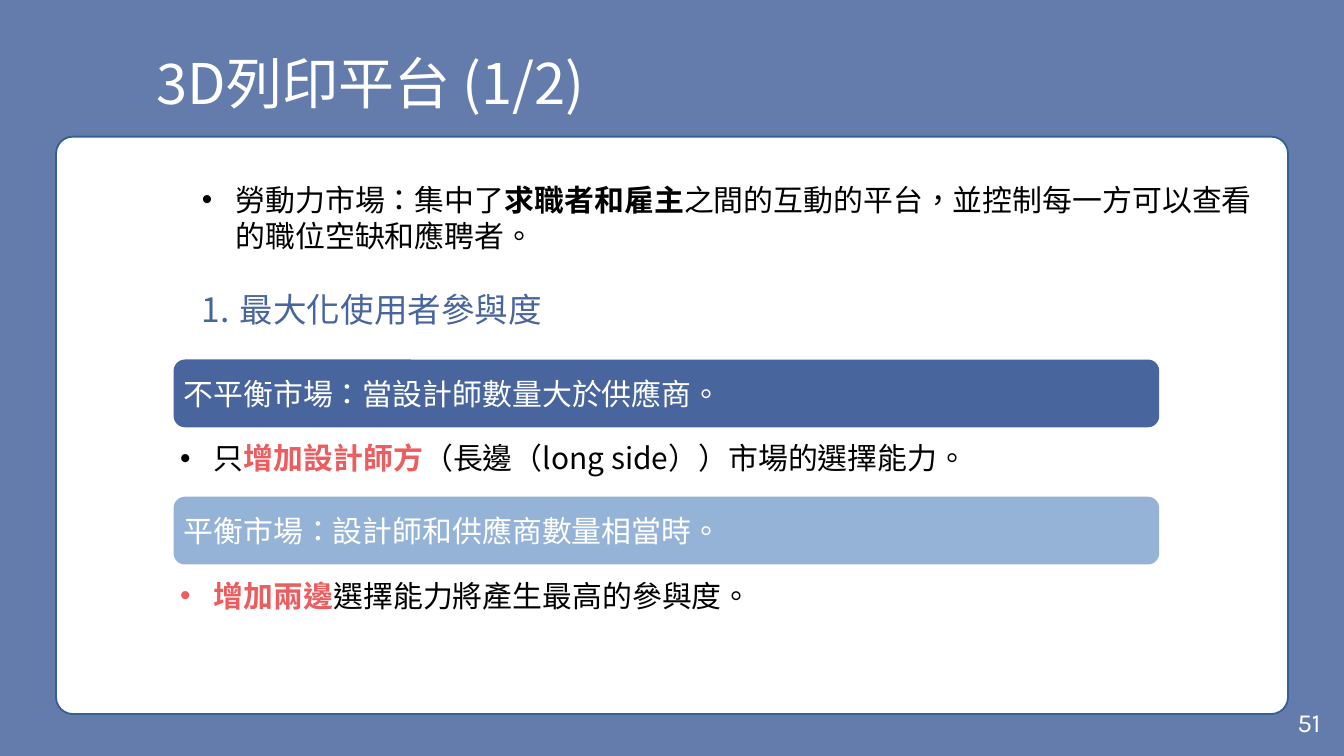
from dataclasses import dataclass

from lxml.etree import SubElement
from pptx import Presentation
from pptx.dml.color import RGBColor
from pptx.enum.lang import MSO_LANGUAGE_ID
from pptx.enum.shapes import MSO_SHAPE
from pptx.enum.text import MSO_ANCHOR, PP_ALIGN
from pptx.oxml.ns import qn
from pptx.util import Inches, Pt

# Grid: 240 columns by 135 rows, twelve to the inch
COLS, ROWS = 240, 135
NOTO, CALIBRI, KARLA = "Noto Sans CJK SC", "Calibri", "Karla"
WHITE, BLACK, NAVY, SKY, RED = "FFFFFF", "000000", "49659E", "95B3D7", "EB5D5F"
EDGE, BACK = "376092", "647CAC"


@dataclass
class Run:
    text: str
    color: str = BLACK
    font: str = NOTO
    size: int = 32
    bold: bool = False


@dataclass
class Case:
    fill: str
    head: list[Run]
    point: list[Run]


def grid(count: float) -> int:
    return Inches(count / 12)


def tint(color: str) -> RGBColor:
    return RGBColor.from_string(color)


def write(para, runs: list[Run]) -> None:
    for item in runs:
        run = para.add_run()
        run.text = item.text
        font = run.font
        font.name, font.size, font.bold = item.font, Pt(item.size), item.bold
        font.color.rgb = tint(item.color)
        font.language_id = MSO_LANGUAGE_ID.TRADITIONAL_CHINESE


def mark(para, left: float, hang: float, number: bool = False) -> None:
    """Give a paragraph a hanging dot or number; lengths in grid columns."""
    props = para._p.get_or_add_pPr()
    props.set("marL", str(grid(left)))
    props.set("indent", str(-grid(hang)))
    if number:
        SubElement(props, qn("a:buFont"), typeface="+mj-lt")
        SubElement(props, qn("a:buAutoNum"), type="arabicPeriod")
    else:
        SubElement(props, qn("a:buFont"), typeface="Arial")
        SubElement(props, qn("a:buChar"), char="•")


def label(slide, left: float, top: float, width: float, height: float,
          runs: list[Run], anchor=MSO_ANCHOR.TOP):
    box = slide.shapes.add_textbox(*map(grid, (left, top, width, height)))
    frame = box.text_frame
    frame.word_wrap = True
    frame.vertical_anchor = anchor
    write(frame.paragraphs[0], runs)
    return frame


def block(slide, left: float, top: float, width: float, height: float,
          fill: str, anchor=MSO_ANCHOR.MIDDLE):
    shape = slide.shapes.add_shape(
        MSO_SHAPE.ROUNDED_RECTANGLE, *map(grid, (left, top, width, height)))
    shape.shadow.inherit = False
    shape.fill.solid()
    shape.fill.fore_color.rgb = tint(fill)
    shape.line.fill.background()
    frame = shape.text_frame
    frame.word_wrap = True
    frame.vertical_anchor = anchor
    frame.paragraphs[0].alignment = PP_ALIGN.LEFT
    return shape


def panel(slide) -> None:
    shape = block(slide, 10, 24.4, 220, 103.1, WHITE, MSO_ANCHOR.TOP)
    shape.adjustments[0] = 0.029
    shape.line.color.rgb = tint(EDGE)
    shape.line.width = Pt(2)
    frame = shape.text_frame
    frame.margin_top = grid(7.1)
    intro, goal = frame.paragraphs[0], frame.add_paragraph()
    mark(intro, 30, 6)
    write(intro, [
        Run("勞動力市場：集中了"),
        Run("求職者和雇主", bold=True),
        Run("之間的互動的平台，並控制每一方可以查看的職位空缺和應聘者。"),
    ])
    goal.alignment = PP_ALIGN.LEFT
    goal.space_before = Pt(38)
    mark(goal, 30.75, 6.75, number=True)
    write(goal, [Run("最大化使用者參與度", NAVY, CALIBRI, 36)])


CASES = [
    Case(NAVY,
         [Run("不平衡市場：", WHITE),
          Run("當設計師數量大於供應商。", WHITE, CALIBRI)],
         [Run("只", font=CALIBRI),
          Run("增加", RED, bold=True),
          Run("設計師方", RED, CALIBRI, bold=True),
          Run("（長邊（long side））市場的選擇能力。")]),
    Case(SKY,
         [Run("平衡市場：設計師和供應商數量相當時。", WHITE)],
         [Run("增加兩邊", RED, bold=True),
          Run("選擇能力將產生最高的參與度。")]),
]


def main() -> None:
    deck = Presentation()
    deck.slide_width, deck.slide_height = grid(COLS), grid(ROWS)
    slide = deck.slides.add_slide(deck.slide_layouts[6])
    slide.background.fill.solid()
    slide.background.fill.fore_color.rgb = tint(BACK)

    # Title and page number
    title = label(slide, 28, 8.6, 186, 12.1,
                  [Run("3D列印平台 (1/2)", WHITE, size=60)], MSO_ANCHOR.MIDDLE)
    title.margin_left = title.margin_right = 0
    title.margin_top = title.margin_bottom = 0
    page = label(slide, 209, 126.5, 28, 4.8,
                 [Run("51", WHITE, KARLA, 28)], MSO_ANCHOR.MIDDLE)
    page.paragraphs[0].alignment = PP_ALIGN.RIGHT

    # White panel, then one bar and one point per market case
    panel(slide)
    for row, case in enumerate(CASES):
        top = 64.2 + row * 24.5
        bar = block(slide, 31, top, 176, 12.1, case.fill)
        write(bar.text_frame.paragraphs[0], case.head)
        point = label(slide, 31, top + 13.8, 141, 7.7, case.point)
        mark(point.paragraphs[0], 6, 6)

    deck.save("out.pptx")


if __name__ == "__main__":
    main()
